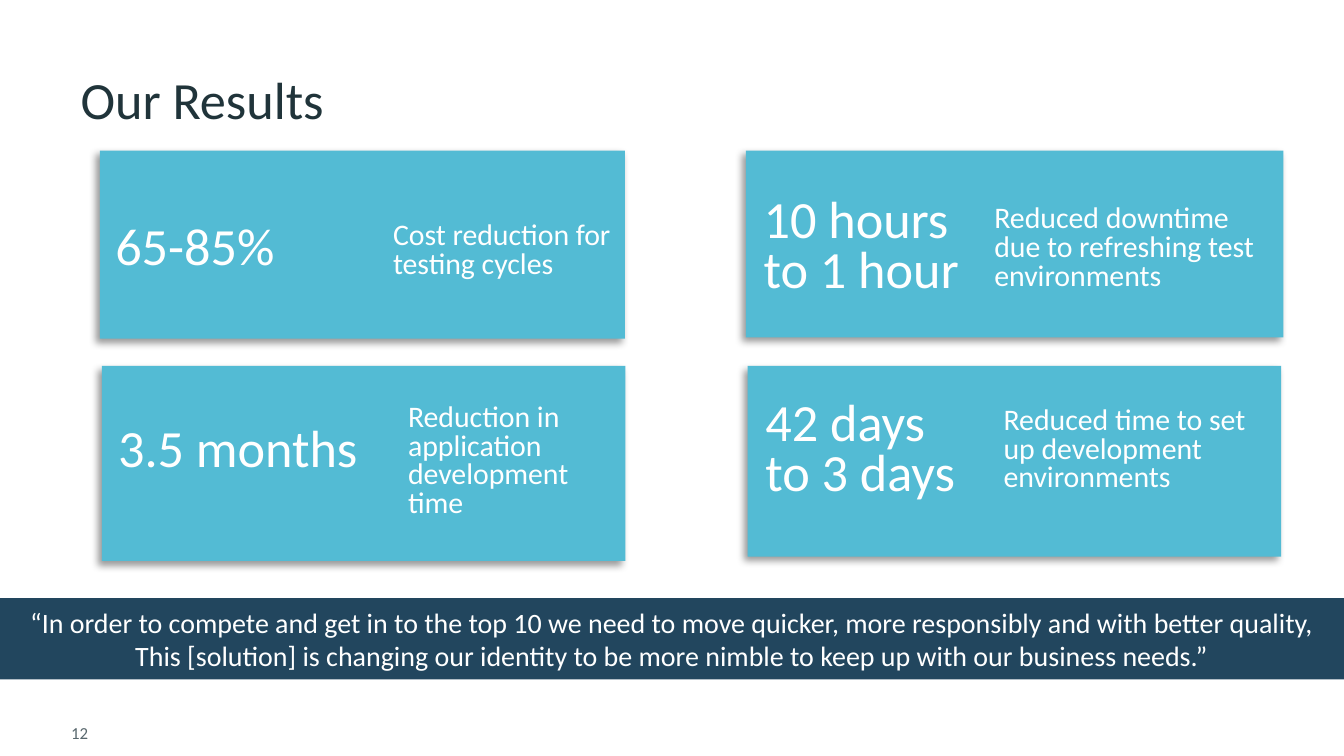
from dataclasses import dataclass

from lxml.etree import SubElement
from pptx import Presentation
from pptx.dml.color import RGBColor
from pptx.enum.shapes import MSO_SHAPE
from pptx.enum.text import MSO_ANCHOR, MSO_AUTO_SIZE, PP_ALIGN
from pptx.oxml.ns import qn
from pptx.shapes.autoshape import Shape
from pptx.slide import Slide
from pptx.util import Pt

WHITE, TEAL, NAVY, INK, GREY = "FFFFFF", "53BBD4", "22465E", "20343A", "58676D"


@dataclass
class Box:
    left: float
    top: float
    width: float
    height: float

    def spots(self) -> list[Pt]:
        return [Pt(n) for n in (self.left, self.top, self.width, self.height)]


@dataclass
class Card:
    box: Box
    value: str
    value_box: Box
    label: str
    label_box: Box


CARDS = [
    Card(Box(53.5, 80.7, 281.3, 100.8), "65-85%", Box(54.7, 116.7, 158.4, 35.3),
         "Cost reduction for testing cycles", Box(203.5, 115.7, 131.3, 38.2)),
    Card(Box(399.6, 80.7, 288, 100), "10 hours to 1 hour", Box(402, 102, 138.2, 62),
         "Reduced downtime due to refreshing test environments", Box(525.6, 106.3, 162, 54)),
    Card(Box(54.5, 196, 280.5, 104.5), "3.5 months", Box(56.2, 224.6, 155.5, 35.3),
         "Reduction in application development time", Box(211.5, 213, 116.6, 69.1)),
    Card(Box(400.5, 196, 285.8, 102.2), "42 days to 3 days", Box(403, 211, 125.3, 62),
         "Reduced time to set up development environments", Box(530.6, 214.4, 152, 54)),
]


def color(code: str) -> RGBColor:
    return RGBColor.from_string(code)


def apply(item: object, form: dict) -> None:
    for name, value in form.items():
        setattr(item, name, value)


def write(shape: Shape, text: str, size: float, code: str, para: dict,
          anchor: MSO_ANCHOR = MSO_ANCHOR.MIDDLE) -> None:
    frame = shape.text_frame
    frame.text = text
    apply(frame, {"word_wrap": True, "auto_size": MSO_AUTO_SIZE.NONE,
                  "vertical_anchor": anchor})
    line = frame.paragraphs[0]
    apply(line, {"alignment": PP_ALIGN.LEFT, **para})
    font = line.runs[0].font
    apply(font, {"name": "Calibri", "size": Pt(size), "bold": False})
    font.color.rgb = color(code)


def block(slide: Slide, kind: MSO_SHAPE, box: Box, code: str) -> Shape:
    shape = slide.shapes.add_shape(kind, *box.spots())
    shape.shadow.inherit = False
    shape.fill.solid()
    shape.fill.fore_color.rgb = color(code)
    shape.line.fill.background()
    return shape


def shade(shape: Shape) -> None:
    effect = shape._element.spPr.find(qn("a:effectLst"))
    outer = SubElement(effect, qn("a:outerShdw"), blurRad=str(Pt(4)), dist=str(Pt(3)),
                       dir=str(135 * 60000), algn="tr", rotWithShape="0")
    tone = SubElement(outer, qn("a:srgbClr"), val="000000")
    SubElement(tone, qn("a:alpha"), val="40000")


def label(slide: Slide, box: Box, text: str, size: float, code: str, para: dict,
          anchor: MSO_ANCHOR = MSO_ANCHOR.MIDDLE) -> None:
    write(slide.shapes.add_textbox(*box.spots()), text, size, code, para, anchor)


def draw(slide: Slide, card: Card) -> None:
    base = block(slide, MSO_SHAPE.ROUNDED_RECTANGLE, card.box, TEAL)
    base.adjustments[0] = 0
    shade(base)
    para = {"line_spacing": 0.8, "space_before": Pt(6)}
    label(slide, card.value_box, card.value, 28, WHITE, para)
    label(slide, card.label_box, card.label, 16, WHITE, para)


def main() -> None:
    deck = Presentation()
    apply(deck, {"slide_width": Pt(720), "slide_height": Pt(405)})
    slide = deck.slides.add_slide(deck.slide_layouts[5])
    title = slide.shapes.title
    spots = Box(36, 36, 648, 38.2).spots()
    apply(title, dict(zip(("left", "top", "width", "height"), spots)))
    write(title, "Our Results", 28, INK, {"line_spacing": 0.9})
    for card in CARDS:
        draw(slide, card)
    quote = block(slide, MSO_SHAPE.RECTANGLE, Box(0, 320.4, 720, 43.6), NAVY)
    write(quote, "“In order to compete and get in to the top 10 we need to move quicker, "
          "more responsibly and with better quality, This [solution] is changing our "
          "identity to be more nimble to keep up with our business needs.”",
          15, WHITE, {"alignment": PP_ALIGN.CENTER})
    label(slide, Box(31, 382.3, 41.8, 19.4), "12", 9, GREY, {}, MSO_ANCHOR.BOTTOM)
    deck.save("out.pptx")


if __name__ == "__main__":
    main()
